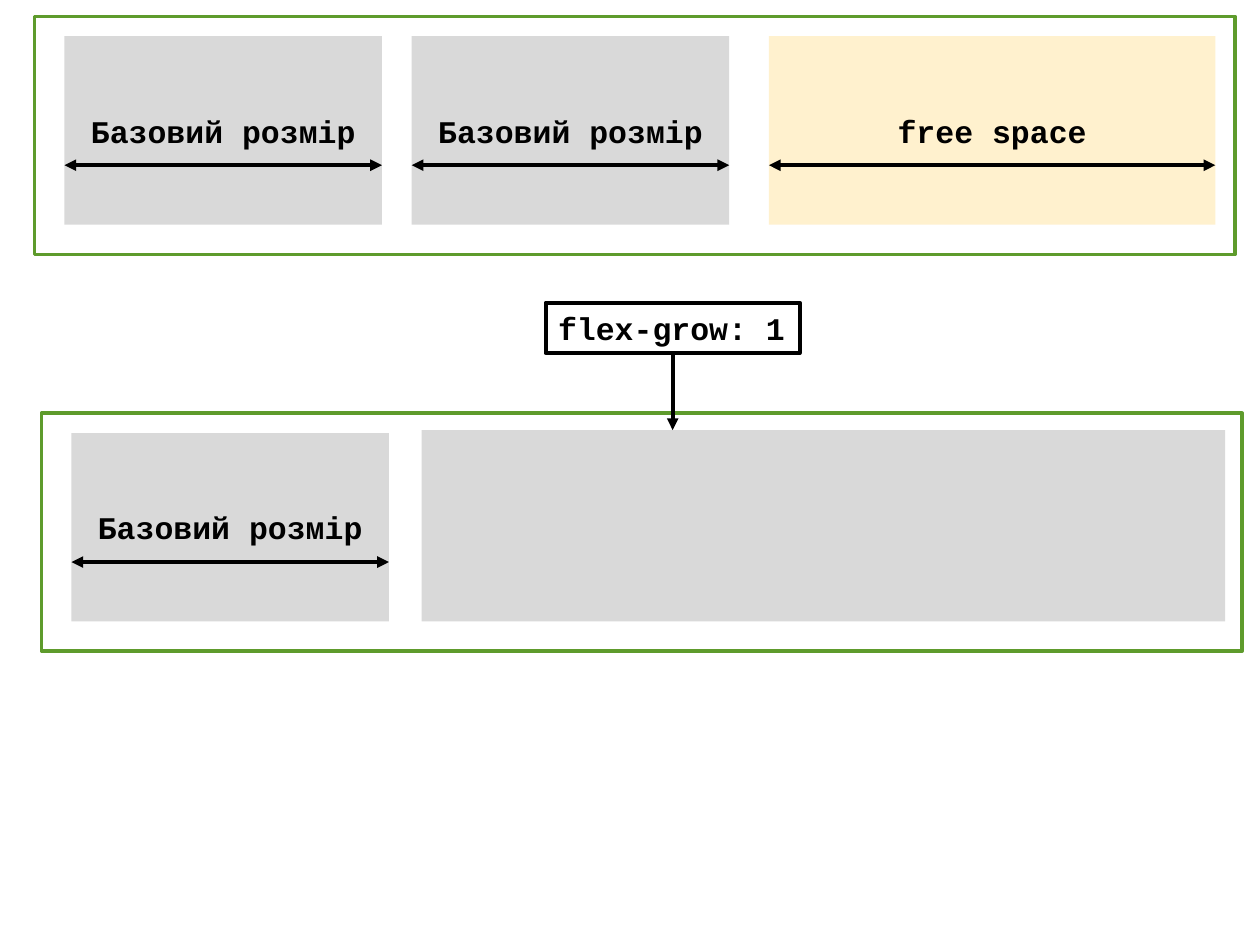
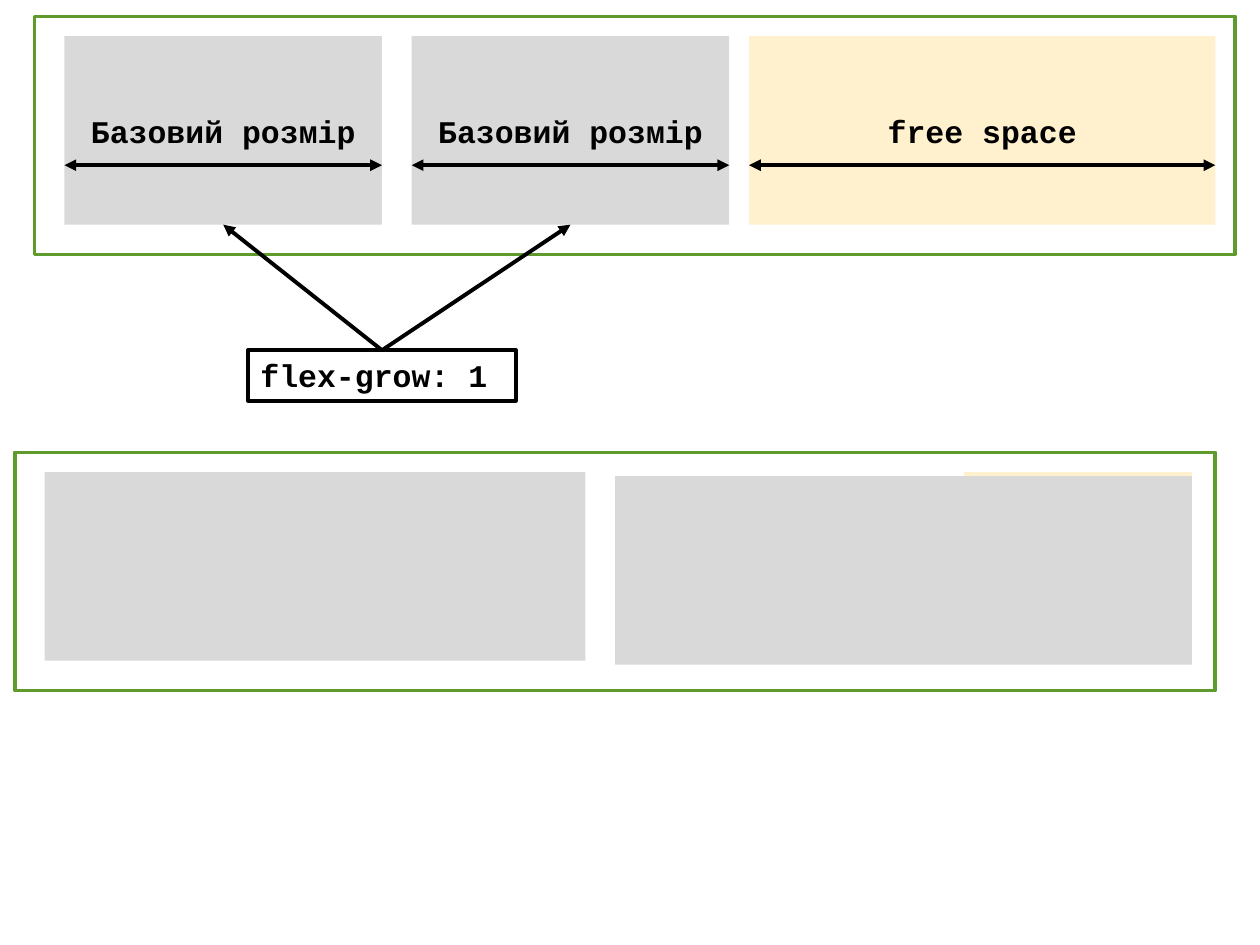
from lxml import etree
from pptx import Presentation
from pptx.dml.color import RGBColor
from pptx.enum.shapes import MSO_CONNECTOR, MSO_SHAPE
from pptx.enum.text import MSO_ANCHOR, PP_ALIGN
from pptx.oxml.ns import qn
from pptx.util import Cm, Pt

RECT, LINE = MSO_SHAPE.RECTANGLE, MSO_CONNECTOR.STRAIGHT
LEFT, CENTER = PP_ALIGN.LEFT, PP_ALIGN.CENTER
TOP, MIDDLE = MSO_ANCHOR.TOP, MSO_ANCHOR.MIDDLE

COLORS = {"frame": "5E9B2C", "item": "D9D9D9", "free": "FFF1CE", "ink": "000000"}
FONT = "Courier New"

# Lengths in centimetres
FRAME_W, FRAME_H = 24.2, 4.8
ITEM_W, ITEM_H = 6.4, 3.8
PAD_X, PAD_Y = 0.6, 0.4
PITCH = 7.0
SPAN_Y = 2.6
TAG_H = 1.02
TOP_X, TOP_Y = 0.7, 0.33
FREE_END = 24.5
BASE, GROW = "Базовий розмір", "flex-grow: 1"


def color(name):
    return RGBColor.from_string(COLORS[name])


def write(shape, text, align=CENTER, anchor=MIDDLE, size=18, wrap=True):
    frame = shape.text_frame
    frame.word_wrap = wrap
    frame.vertical_anchor = anchor
    par = frame.paragraphs[0]
    par.alignment = align
    run = par.add_run()
    run.text = text
    run.font.name = FONT
    run.font.size = Pt(size)
    run.font.bold = True
    run.font.color.rgb = color("ink")


def box(slide, x, y, w, h, fill=None, line=None, weight=2):
    shape = slide.shapes.add_shape(RECT, Cm(x), Cm(y), Cm(w), Cm(h))
    shape.shadow.inherit = False
    if fill:
        shape.fill.solid()
        shape.fill.fore_color.rgb = color(fill)
    else:
        shape.fill.background()
    if line:
        shape.line.color.rgb = color(line)
        shape.line.width = Pt(weight)
    else:
        shape.line.fill.background()
    return shape


def arrow(slide, start, end, both=False):
    link = slide.shapes.add_connector(LINE, *map(Cm, start + end))
    link.line.color.rgb = color("ink")
    link.line.width = Pt(2.25)
    ln = link.line._get_or_add_ln()
    for tag in ("a:headEnd", "a:tailEnd") if both else ("a:tailEnd",):
        etree.SubElement(ln, qn(tag), type="triangle")
    etree.SubElement(link._element.spPr, qn("a:effectLst"))


def frame(slide, x, y):
    box(slide, x, y, FRAME_W, FRAME_H, line="frame")


def item(slide, x, y, text, w=ITEM_W, fill="item"):
    """Draw a named block with a double arrow across its width."""
    write(box(slide, x, y, w, ITEM_H, fill=fill), text)
    arrow(slide, (x, y + SPAN_Y), (x + w, y + SPAN_Y), both=True)


def tag(slide, x, y, w, wrap):
    shape = box(slide, x, y, w, TAG_H, line="ink", weight=2.25)
    write(shape, GROW, align=LEFT, anchor=TOP, wrap=wrap)


def before(slide, free_x):
    """Draw the upper row: two base items, then free space from free_x."""
    frame(slide, TOP_X, TOP_Y)
    y = TOP_Y + PAD_Y
    for i in range(2):
        item(slide, TOP_X + PAD_X + i * PITCH, y, BASE)
    item(slide, free_x, y, "free space", w=FREE_END - free_x, fill="free")


def grow_one(slide):
    before(slide, 15.5)
    x, y = 0.84, 8.33
    frame(slide, x, y)
    item(slide, x + PAD_X, y + PAD_Y, BASE)
    tag_x, tag_y, tag_w = 11, 6.1, 5.12
    grown_y = 8.67
    tag(slide, tag_x, tag_y, tag_w, wrap=False)
    mid = tag_x + tag_w / 2
    box(slide, 8.5, grown_y, 16.2, 3.86, fill="item")
    arrow(slide, (mid, tag_y + TAG_H), (mid, grown_y))


def grow_both(slide):
    before(slide, 15.1)
    x, y = 0.3, 9.12
    row_y = y + PAD_Y
    box(slide, 19.43, row_y, 4.6, ITEM_H, fill="free")
    frame(slide, x, y)
    box(slide, x + PAD_X, row_y, 10.9, ITEM_H, fill="item")
    box(slide, 12.4, row_y + 0.08, 11.63, ITEM_H, fill="item")
    tag_x, tag_y, tag_w = 5, 7.06, 5.4
    tag(slide, tag_x, tag_y, tag_w, wrap=True)
    base_y = TOP_Y + PAD_Y + ITEM_H
    for i in range(2):
        mid = TOP_X + PAD_X + i * PITCH + ITEM_W / 2
        arrow(slide, (tag_x + tag_w / 2, tag_y), (mid, base_y))


def main():
    deck = Presentation()
    deck.slide_width, deck.slide_height = Cm(25.4), Cm(19.05)
    for draw in (grow_one, grow_both):
        draw(deck.slides.add_slide(deck.slide_layouts[6]))
    deck.save("out.pptx")


if __name__ == "__main__":
    main()
